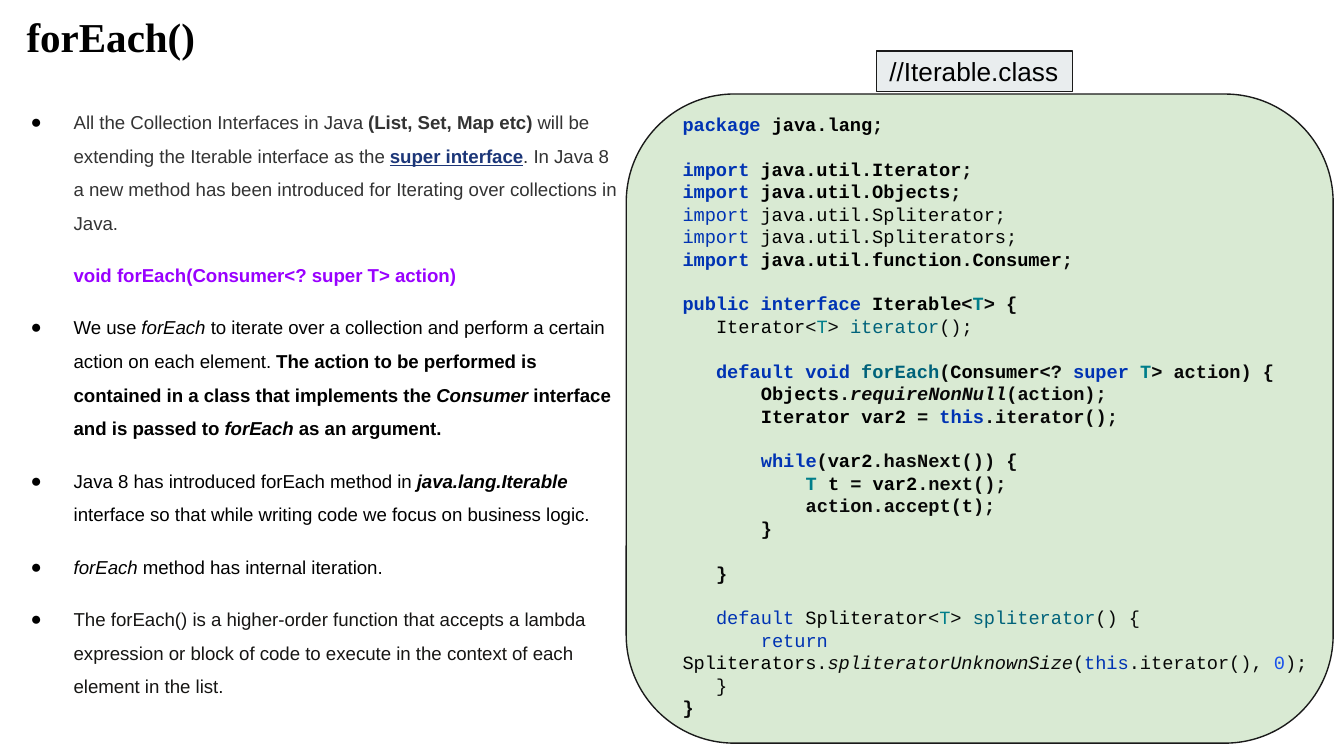
from dataclasses import dataclass

from lxml.etree import SubElement
from pptx import Presentation
from pptx.dml.color import RGBColor
from pptx.enum.shapes import MSO_SHAPE
from pptx.enum.text import MSO_ANCHOR, PP_ALIGN
from pptx.oxml.ns import qn
from pptx.util import Inches, Pt

COLORS = {
    "black": "000000", "outline": "1A1A1A", "panel": "D9EAD3", "label": "E9EDEE",
    "gray": "333333", "navy": "1C3678", "violet": "9900FF", "charcoal": "161513",
    "code": "080808", "keyword": "0033B3", "type": "007E8A", "method": "00627A",
    "number": "1750EB",
}
CHARACTER_WIDTH = 1 / 12  # inches, Courier New at 10 points


@dataclass
class Span:
    text: str
    color: str = "black"
    bold: bool = False
    italic: bool = False
    underline: bool = False


@dataclass
class Bullet:
    spans: list[Span]
    marked: bool = True
    space_before: int = 10


@dataclass
class CodeLine:
    """One line of code: indent in characters, gap for an empty line above."""
    spans: list[Span]
    indent: int = 0
    bold: bool = True
    gap: bool = False


def keyword(text: str) -> Span:
    return Span(text, "keyword")


def code(text: str, italic: bool = False) -> Span:
    return Span(text, "code", italic=italic)


def import_line(name: str, bold: bool = True, gap: bool = False) -> CodeLine:
    return CodeLine([keyword("import "), Span(name), code(";")], bold=bold, gap=gap)


TYPE_T = [code("<"), Span("T", "type")]

BULLETS = [
    Bullet([
        Span("All the Collection Interfaces in Java ", "gray"),
        Span("(List, Set, Map etc)", "gray", bold=True),
        Span(" will be extending the Iterable interface as the ", "gray"),
        Span("super interface", "navy", bold=True, underline=True),
        Span(". In Java 8 a new method has been introduced for Iterating over "
             "collections in Java.", "gray"),
    ], space_before=18),
    Bullet([Span("void forEach(Consumer<? super T> action)", "violet", bold=True)], marked=False),
    Bullet([
        Span("We use "),
        Span("forEach ", italic=True),
        Span("to iterate over a collection and perform a certain action on each element. "),
        Span("The action to be performed is contained in a class that implements the ", bold=True),
        Span("Consumer", bold=True, italic=True),
        Span(" interface and is passed to ", bold=True),
        Span("forEach ", bold=True, italic=True),
        Span("as an argument.", bold=True),
    ]),
    Bullet([
        Span("Java 8 has introduced forEach method in "),
        Span("java.lang.Iterable", bold=True, italic=True),
        Span(" ", bold=True),
        Span("interface so that while writing code we focus on business logic."),
    ]),
    Bullet([Span("forEach", italic=True), Span(" method has internal iteration.")]),
    Bullet([Span("The forEach() is a higher-order function that accepts a lambda expression or "
                 "block of code to execute in the context of each element in the list.",
                 "charcoal")]),
]

CODE_LINES = [
    CodeLine([keyword("package "), Span("java.lang"), code(";")]),
    import_line("java.util.Iterator", gap=True),
    import_line("java.util.Objects"),
    import_line("java.util.Spliterator", bold=False),
    import_line("java.util.Spliterators", bold=False),
    import_line("java.util.function.Consumer"),
    CodeLine([keyword("public interface "), Span("Iterable"), *TYPE_T, code("> {")], gap=True),
    CodeLine([Span("Iterator"), *TYPE_T, code("> "), Span("iterator", "method"), code("();")],
             3, bold=False),
    CodeLine([keyword("default void "), Span("forEach", "method"), code("("), Span("Consumer"),
              code("<? "), keyword("super "), Span("T", "type"), code("> action) {")],
             3, gap=True),
    CodeLine([Span("Objects"), code("."), code("requireNonNull", italic=True),
              code("(action);")], 7),
    CodeLine([Span("Iterator var2 "), code("= "), keyword("this"), code(".iterator();")], 7),
    CodeLine([keyword("while"), code("("), Span("var2"), code(".hasNext()) {")], 7, gap=True),
    CodeLine([Span("T ", "type"), Span("t "), code("= "), Span("var2"), code(".next();")], 11),
    CodeLine([code("action.accept("), Span("t"), code(");")], 11),
    CodeLine([code("}")], 7),
    CodeLine([code("}")], 3, gap=True),
    CodeLine([keyword("default "), Span("Spliterator"), *TYPE_T, code("> "),
              Span("spliterator", "method"), code("() {")], 3, bold=False, gap=True),
    CodeLine([keyword("return "), Span("Spliterators"), code("."),
              code("spliteratorUnknownSize", italic=True), code("("), keyword("this"),
              code(".iterator(), "), Span("0", "number"), code(");")], 7, bold=False),
    CodeLine([code("}")], 3, bold=False),
    CodeLine([code("}")]),
]


def rgb(name: str) -> RGBColor:
    return RGBColor.from_string(COLORS[name])


def prepare_frame(frame, anchor=MSO_ANCHOR.TOP) -> None:
    frame.word_wrap = True
    frame.vertical_anchor = anchor
    frame.margin_left = frame.margin_right = Inches(0.1)
    frame.margin_top = frame.margin_bottom = Inches(0.1)


def add_text_box(page, left: float, top: float, width: float, height: float,
                 anchor=MSO_ANCHOR.TOP):
    box = page.shapes.add_textbox(Inches(left), Inches(top), Inches(width), Inches(height))
    prepare_frame(box.text_frame, anchor)
    return box.text_frame


def add_panel(page, kind, left: float, top: float, width: float, height: float, fill: str):
    panel = page.shapes.add_shape(kind, Inches(left), Inches(top), Inches(width), Inches(height))
    panel.shadow.inherit = False
    panel.fill.solid()
    panel.fill.fore_color.rgb = rgb(fill)
    panel.line.color.rgb = rgb("outline")
    panel.line.width = Pt(0.75)
    return panel


def add_span(paragraph, span: Span, font: str, size: int, bold: bool = False) -> None:
    run = paragraph.add_run()
    run.text = span.text
    run.font.name = font
    run.font.size = Pt(size)
    run.font.bold = bold or span.bold
    run.font.italic = span.italic
    run.font.underline = span.underline
    run.font.color.rgb = rgb(span.color)


def set_indent(paragraph, left: float, first: float) -> None:
    properties = paragraph._p.get_or_add_pPr()
    properties.set("marL", str(Inches(left)))
    properties.set("indent", str(Inches(first)))


def add_marker(paragraph) -> None:
    properties = paragraph._p.get_or_add_pPr()
    color = SubElement(properties, qn("a:buClr"))
    SubElement(color, qn("a:srgbClr"), val=COLORS["black"])
    SubElement(properties, qn("a:buFont"), typeface="Arial")
    SubElement(properties, qn("a:buChar"), char="●")


def next_paragraph(frame, index: int):
    return frame.add_paragraph() if index else frame.paragraphs[0]


def fill_bullets(frame, bullets: list[Bullet]) -> None:
    for index, bullet in enumerate(bullets):
        paragraph = next_paragraph(frame, index)
        paragraph.line_spacing = 1.5
        paragraph.space_before = Pt(bullet.space_before)
        set_indent(paragraph, 0.5, -0.32 if bullet.marked else 0)
        if bullet.marked:
            add_marker(paragraph)
        for span in bullet.spans:
            add_span(paragraph, span, "Arial", 10)


def fill_code(frame, lines: list[CodeLine]) -> None:
    for index, line in enumerate(lines):
        paragraph = next_paragraph(frame, index)
        paragraph.space_before = Pt(12 if line.gap else 0)
        set_indent(paragraph, 0, line.indent * CHARACTER_WIDTH)
        for span in line.spans:
            add_span(paragraph, span, "Courier New", 10, line.bold)


def main() -> None:
    deck = Presentation()
    deck.slide_width, deck.slide_height = Inches(10), Inches(10 * 9 / 16)
    page = deck.slides.add_slide(deck.slide_layouts[6])

    title = add_text_box(page, 0.1, 0.05, 9.43, 0.5, MSO_ANCHOR.BOTTOM)
    add_span(title.paragraphs[0], Span("forEach()", bold=True), "Times New Roman", 22)
    fill_bullets(add_text_box(page, -0.05, 0.64, 4.74, 4.99), BULLETS)

    add_panel(page, MSO_SHAPE.ROUNDED_RECTANGLE, 4.66, 0.7, 5.26, 4.83, "panel")
    fill_code(add_text_box(page, 4.98, 0.74, 5.05, 4.75), CODE_LINES)

    label = add_panel(page, MSO_SHAPE.RECTANGLE, 6.52, 0.38, 1.46, 0.3, "label").text_frame
    prepare_frame(label, MSO_ANCHOR.MIDDLE)
    label.paragraphs[0].alignment = PP_ALIGN.LEFT
    add_span(label.paragraphs[0], Span("//Iterable.class"), "Arial", 14)

    deck.save("out.pptx")


if __name__ == "__main__":
    main()
